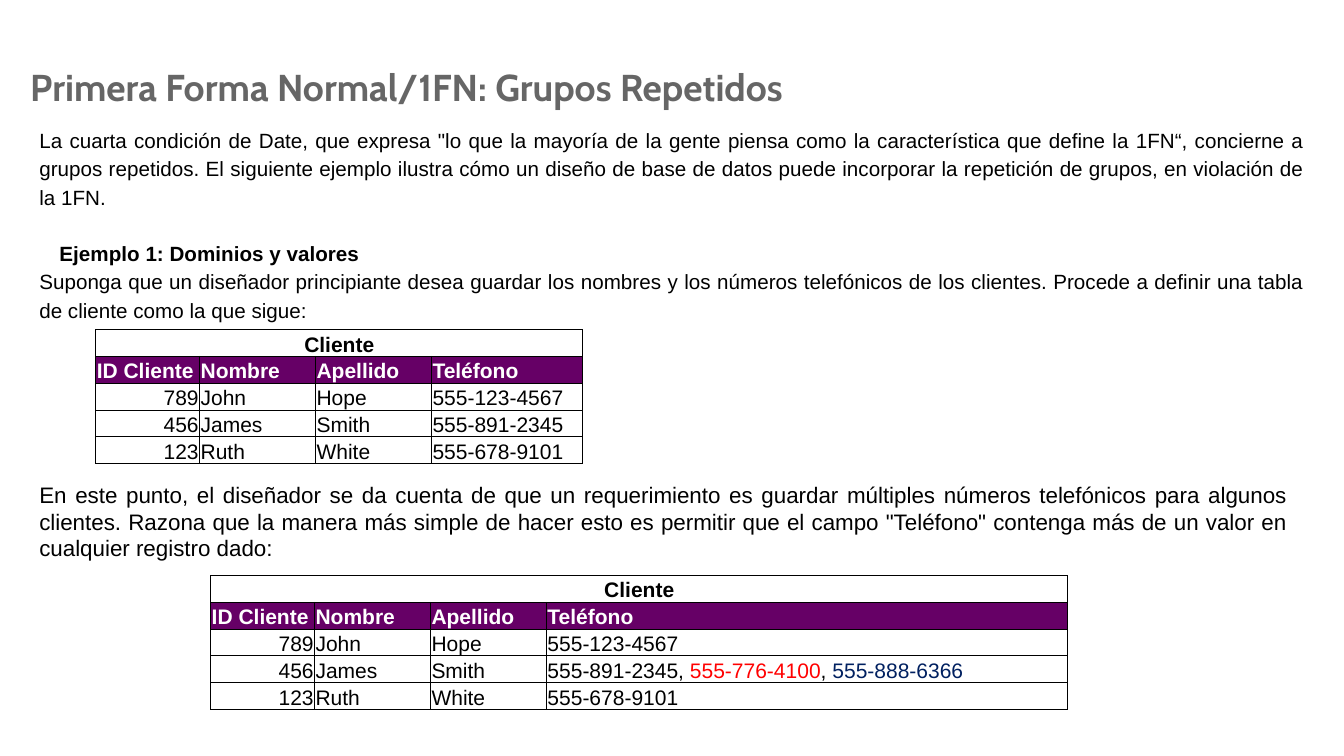
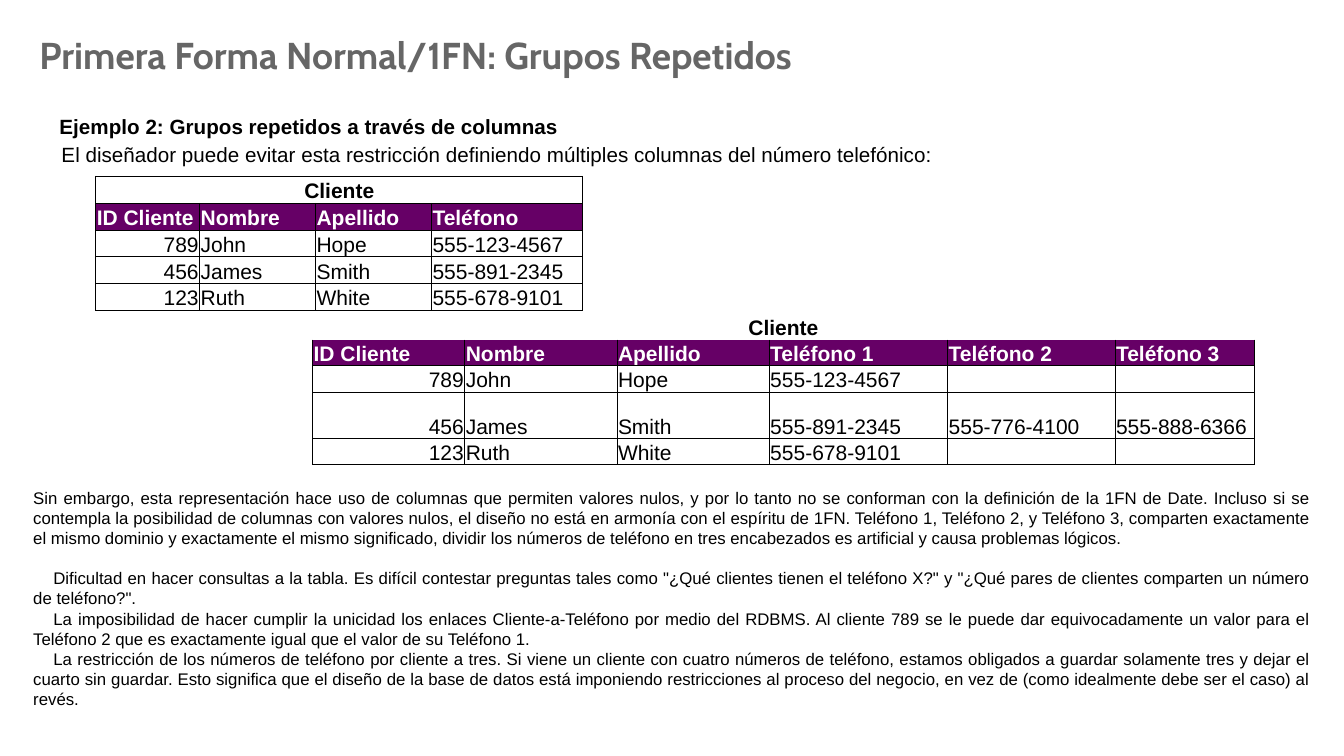
from dataclasses import dataclass

from pptx import Presentation
from pptx.dml.color import RGBColor
from pptx.enum.shapes import MSO_SHAPE
from pptx.enum.text import MSO_ANCHOR, PP_ALIGN
from pptx.oxml.xmlchemy import OxmlElement
from pptx.util import Emu, Pt

PX = 9144
RECTANGLE = MSO_SHAPE.RECTANGLE
TOP, MIDDLE, BOTTOM = MSO_ANCHOR.TOP, MSO_ANCHOR.MIDDLE, MSO_ANCHOR.BOTTOM
LEFT, CENTER, RIGHT, JUSTIFY = PP_ALIGN.LEFT, PP_ALIGN.CENTER, PP_ALIGN.RIGHT, PP_ALIGN.JUSTIFY


@dataclass(frozen=True)
class Theme:
    """Colours, fonts and type sizes shared by the slides."""

    title: str = "666666"
    ink: str = "000000"
    paper: str = "FFFFFF"
    header: str = "660066"
    second_phone: str = "FF0000"
    third_phone: str = "002060"
    title_font: str = "Cabin"
    body_font: str = "Arial"
    title_size: float = 26.7
    body_size: float = 14.7
    cell_size: float = 15
    remark_size: float = 16
    detail_size: float = 12
    body_leading: float = 1.15
    border: float = 0.75


THEME = Theme()
TITLE = "Primera Forma Normal/1FN: Grupos Repetidos"
CAPTION = "Cliente"
NAME_HEADERS = ["ID Cliente", "Nombre", "Apellido"]
CLIENTS = [["789", "John", "Hope"], ["456", "James", "Smith"], ["123", "Ruth", "White"]]
PHONES = ["555-123-4567", "555-891-2345", "555-678-9101"]
EXTRA_PHONES = ["555-776-4100", "555-888-6366"]
COMPACT_COLUMNS = [103, 115, 115, 150]
WIDE_COLUMNS = [103, 115, 115, 517]
SPLIT_COLUMNS = [151, 151, 151, 177, 166, 138]
SPLIT_ROWS = [24, 24, 24, 46, 24]

INTRO = (
    'La cuarta condición de Date, que expresa "lo que la mayoría de la gente piensa como la '
    "característica que define la 1FN“, concierne a grupos repetidos. El siguiente ejemplo ilustra "
    "cómo un diseño de base de datos puede incorporar la repetición de grupos, en violación de la 1FN."
)
FIRST_DESIGN = (
    "Suponga que un diseñador principiante desea guardar los nombres y los números telefónicos de "
    "los clientes. Procede a definir una tabla de cliente como la que sigue:"
)
REMARK = (
    "En este punto, el diseñador se da cuenta de que un requerimiento es guardar múltiples números "
    "telefónicos para algunos clientes. Razona que la manera más simple de hacer esto es permitir que "
    'el campo "Teléfono" contenga más de un valor en cualquier registro dado:'
)
SECOND_DESIGN = (
    "El diseñador puede evitar esta restricción definiendo múltiples columnas del número telefónico:"
)
OBJECTION = (
    "Sin embargo, esta representación hace uso de columnas que permiten valores nulos, y por lo tanto "
    "no se conforman con la definición de la 1FN de Date. Incluso si se contempla la posibilidad de "
    "columnas con valores nulos, el diseño no está en armonía con el espíritu de 1FN. Teléfono 1, "
    "Teléfono 2, y Teléfono 3, comparten exactamente el mismo dominio y exactamente el mismo "
    "significado, dividir los números de teléfono en tres encabezados es artificial y causa problemas "
    "lógicos."
)
PROBLEMS = [
    "Dificultad en hacer consultas a la tabla. Es difícil contestar preguntas tales como "
    '"¿Qué clientes tienen el teléfono X?" y "¿Qué pares de clientes comparten un número de teléfono?".',
    "La imposibilidad de hacer cumplir la unicidad los enlaces Cliente-a-Teléfono por medio del RDBMS. "
    "Al cliente 789 se le puede dar equivocadamente un valor para el Teléfono 2 que es exactamente "
    "igual que el valor de su Teléfono 1.",
    "La restricción de los números de teléfono por cliente a tres. Si viene un cliente con cuatro "
    "números de teléfono, estamos obligados a guardar solamente tres y dejar el cuarto sin guardar. "
    "Esto significa que el diseño de la base de datos está imponiendo restricciones al proceso del "
    "negocio, en vez de (como idealmente debe ser el caso) al revés.",
]


def px(length):
    """Turn px into EMU."""
    return Emu(length * PX)


def apply(target, values):
    """Set every attribute named in a dict of format values."""
    for name, value in values.items():
        setattr(target, name, value)


def margins(sides, ends, bottom=None):
    """Give the inner margins of a text frame or cell."""
    return {
        "margin_left": px(sides),
        "margin_right": px(sides),
        "margin_top": px(ends),
        "margin_bottom": px(ends if bottom is None else bottom),
    }


def write(paragraph, runs, size, font=THEME.body_font, bold=False, **layout):
    """Fill a paragraph with runs of text and colour."""
    apply(paragraph, layout)
    for text, colour in runs:
        run = paragraph.add_run()
        run.text = text
        apply(run.font, {"name": font, "size": Pt(size), "bold": bold})
        run.font.color.rgb = RGBColor.from_string(colour)


def indent(paragraph, margin=0, first_line=0):
    """Indent a whole paragraph or only its first line."""
    properties = paragraph._p.get_or_add_pPr()
    properties.set("marL", str(px(margin)))
    properties.set("indent", str(px(first_line)))


def text_block(slide, box, paragraphs, ends=13, anchor=TOP, filled=False):
    """Place paragraphs in a plain or filled box."""
    edges = [px(edge) for edge in box]
    if filled:
        block = slide.shapes.add_shape(RECTANGLE, *edges)
        block.shadow.inherit = False
        block.fill.solid()
        block.fill.fore_color.rgb = RGBColor.from_string(THEME.paper)
        block.line.fill.background()
    else:
        block = slide.shapes.add_textbox(*edges)
    frame = block.text_frame
    apply(frame, {"word_wrap": True, "vertical_anchor": anchor, **margins(13, ends)})
    for index, (text, indents, style) in enumerate(paragraphs):
        paragraph = frame.add_paragraph() if index else frame.paragraphs[0]
        indent(paragraph, **indents)
        write(paragraph, **{"runs": [(text, THEME.ink)], "alignment": JUSTIFY, **style})


def title(slide, box):
    """Place the shared title."""
    style = {
        "runs": [(TITLE, THEME.title)],
        "size": THEME.title_size,
        "font": THEME.title_font,
        "bold": True,
        "alignment": LEFT,
    }
    text_block(slide, box, [(TITLE, {}, style)], anchor=MIDDLE)


def draw_borders(cell, sides):
    """Draw the listed sides of a cell and clear the others."""
    properties = cell._tc.get_or_add_tcPr()
    for side in "LRTB":
        line = OxmlElement(f"a:ln{side}")
        line.set("w", str(Pt(THEME.border)))
        if side in sides:
            fill = OxmlElement("a:solidFill")
            colour = OxmlElement("a:srgbClr")
            colour.set("val", THEME.ink)
            fill.append(colour)
        else:
            fill = OxmlElement("a:noFill")
        line.append(fill)
        properties.append(line)


def fill_cell(cell, runs, sides, background=None, **style):
    """Write and format one table cell."""
    draw_borders(cell, sides)
    if background:
        cell.fill.solid()
        cell.fill.fore_color.rgb = RGBColor.from_string(background)
    else:
        cell.fill.background()
    apply(cell, {"vertical_anchor": BOTTOM, **margins(1, 1, 0)})
    paragraph = cell.text_frame.paragraphs[0]
    write(paragraph, runs, THEME.cell_size, **style)
    if not runs:
        ending = OxmlElement("a:endParaRPr")
        ending.set("sz", str(int(THEME.cell_size * 100)))
        paragraph._p.append(ending)


def client_table(slide, left, top, columns, headers, records, heights=None, boxed_caption=True):
    """Place a client table with a caption, a header row and records."""
    heights = heights or [133 / 5] * 5
    frame = slide.shapes.add_table(
        len(heights), len(columns), px(left), px(top), px(sum(columns)), px(sum(heights))
    )
    table = frame.table
    apply(table, {"first_row": False, "horz_banding": False})
    for column, width in zip(table.columns, columns):
        column.width = px(width)
    for row, height in zip(table.rows, heights):
        row.height = px(height)
    for index, header in enumerate(headers):
        caption = [] if index else [(CAPTION, THEME.ink)]
        fill_cell(table.cell(0, index), caption, "LRTB" if boxed_caption else "",
                  THEME.paper, bold=True, alignment=CENTER)
        fill_cell(table.cell(1, index), [(header, THEME.paper)],
                  "LRTB" if boxed_caption else "LRB", THEME.header, bold=True)
        for row, record in enumerate(records, 2):
            value = record[index]
            runs = [(value, THEME.ink)] if isinstance(value, str) else value
            fill_cell(table.cell(row, index), runs, "LRTB", alignment=LEFT if index else RIGHT)
    table.cell(0, 0).merge(table.cell(0, len(columns) - 1))


def compact_table(slide, left, top):
    """Place the table with one phone per client."""
    records = [client + [phone] for client, phone in zip(CLIENTS, PHONES)]
    client_table(slide, left, top, COMPACT_COLUMNS, NAME_HEADERS + ["Teléfono"], records)


def values_slide(slide):
    """Build the example of domains and values."""
    body = {"size": THEME.body_size, "line_spacing": THEME.body_leading}
    heading = {**body, "bold": True, "alignment": LEFT, "space_before": Pt(20)}
    title(slide, (17, 56, 1281, 60))
    text_block(slide, (26, 110, 1281, 218), [
        (INTRO, {}, body),
        ("Ejemplo 1: Dominios y valores", {"margin": 20}, heading),
        (FIRST_DESIGN, {}, body),
    ])
    compact_table(slide, 95, 327)
    text_block(slide, (26, 470, 1264, 94), [(REMARK, {}, {"size": THEME.remark_size})], ends=7)
    several_phones = [
        (PHONES[1] + ", ", THEME.ink),
        (EXTRA_PHONES[0], THEME.second_phone),
        (", ", THEME.ink),
        (EXTRA_PHONES[1], THEME.third_phone),
    ]
    phones = [PHONES[0], several_phones, PHONES[2]]
    records = [client + [phone] for client, phone in zip(CLIENTS, phones)]
    client_table(slide, 209, 571, WIDE_COLUMNS, NAME_HEADERS + ["Teléfono"], records)


def columns_slide(slide):
    """Build the example of groups repeated across columns."""
    body = {"size": THEME.body_size, "line_spacing": THEME.body_leading}
    title(slide, (26, 24, 1281, 60))
    text_block(slide, (26, 96, 1281, 94), [
        ("Ejemplo 2: Grupos repetidos a través de columnas", {"margin": 20},
         {**body, "bold": True, "alignment": LEFT}),
        (SECOND_DESIGN, {"first_line": 22}, body),
    ])
    compact_table(slide, 95, 175)
    extras = [[[], []], EXTRA_PHONES, [[], []]]
    records = [client + [phone] + extra for client, phone, extra in zip(CLIENTS, PHONES, extras)]
    headers = NAME_HEADERS + [f"Teléfono {number}" for number in range(1, 4)]
    client_table(slide, 310, 311, SPLIT_COLUMNS, headers, records, SPLIT_ROWS, boxed_caption=False)
    detail = {"size": THEME.detail_size}
    problems = [
        (problem, {"first_line": 20}, {**detail, "space_before": Pt(0 if index else 14)})
        for index, problem in enumerate(PROBLEMS)
    ]
    text_block(slide, (20, 477, 1294, 256), [(OBJECTION, {}, detail)] + problems,
               ends=7, filled=True)


def main():
    """Build and save the presentation."""
    deck = Presentation()
    apply(deck, {"slide_width": px(1333), "slide_height": px(750)})
    for build in (values_slide, columns_slide):
        build(deck.slides.add_slide(deck.slide_layouts[6]))
    deck.save("out.pptx")


if __name__ == "__main__":
    main()
